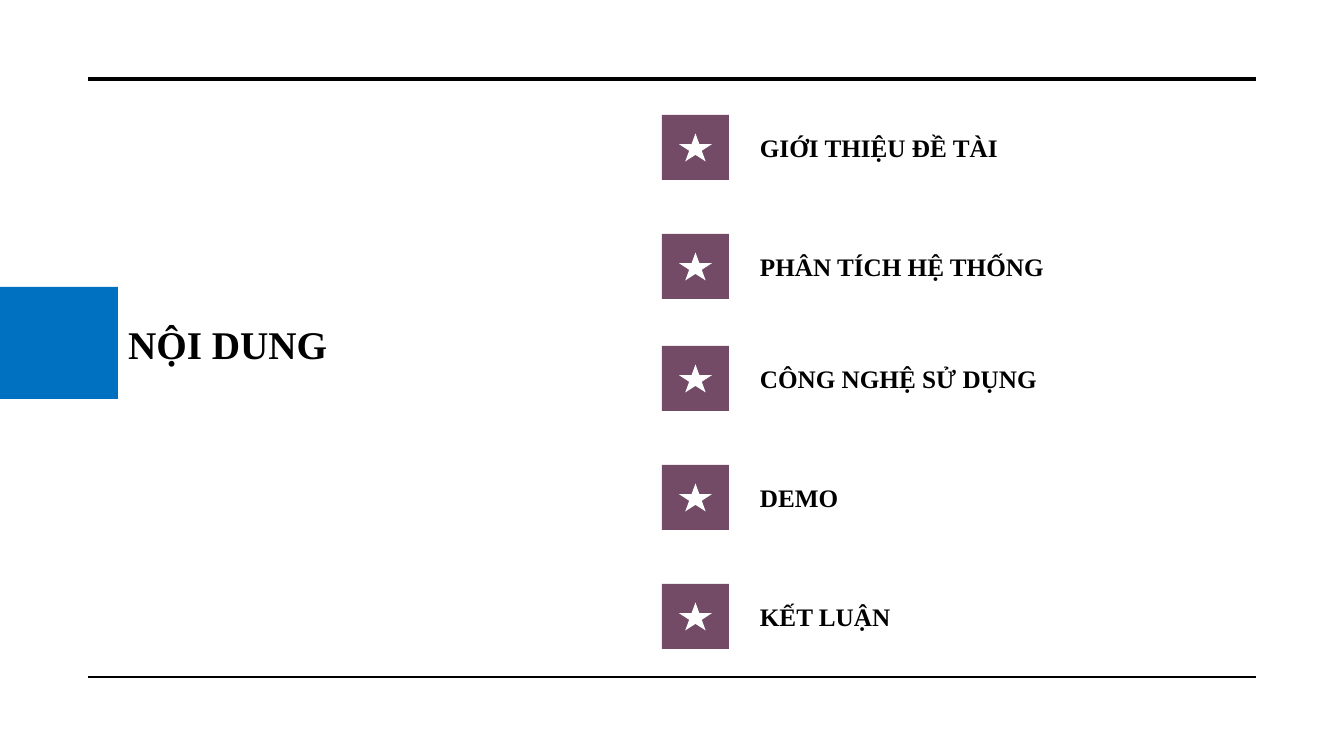
from lxml import etree
from pptx import Presentation
from pptx.dml.color import RGBColor
from pptx.enum import shapes, text
from pptx.oxml import ns
from pptx.util import Pt

TITLE = "NỘI DUNG"
TOPICS = [
    ("GIỚI THIỆU ĐỀ TÀI", 115),
    ("PHÂN TÍCH HỆ THỐNG", 234),
    ("CÔNG NGHỆ SỬ DỤNG", 346),
    ("DEMO", 465),
    ("KẾT LUẬN", 584),
]
RULES = [(79, 3.5), (677, 1)]
COLORS = {"ink": "000000", "accent": "0070C0", "tile": "734B67", "star": "FFFFFF"}
FONT = "Times New Roman"
EMU_PER_PX = 914400 / 100.8
RULE_LEFT, RULE_RIGHT = 88, 1256
TILE_LEFT, TILE_WIDTH, TILE_HEIGHT = 662, 67, 65
STAR_WIDTH, STAR_HEIGHT = 33, 28
LABEL_LEFT, LABEL_WIDTH, LABEL_HEIGHT = 750, 316, 40


def px(*lengths):
    return [round(length * EMU_PER_PX) for length in lengths]


def color(name):
    return RGBColor.from_string(COLORS[name])


def add_rule(page, y, weight):
    rule = page.shapes.add_connector(
        shapes.MSO_CONNECTOR.STRAIGHT, *px(RULE_LEFT, y, RULE_RIGHT, y))
    rule.line.color.rgb = color("ink")
    rule.line.width = Pt(weight)
    etree.SubElement(rule._element.spPr, ns.qn("a:effectLst"))


def add_block(page, kind, fill, *box):
    block = page.shapes.add_shape(kind, *px(*box))
    block.shadow.inherit = False
    block.fill.solid()
    block.fill.fore_color.rgb = color(fill)
    block.line.fill.background()


def write(box, words, size):
    frame = box.text_frame
    frame.text = words
    frame.word_wrap = True
    frame.auto_size = text.MSO_AUTO_SIZE.NONE
    frame.vertical_anchor = text.MSO_ANCHOR.MIDDLE
    para = frame.paragraphs[0]
    para.alignment = text.PP_ALIGN.LEFT
    para.font.name = FONT
    para.font.size = Pt(size)
    para.font.bold = True
    para.font.color.rgb = color("ink")


def add_topic(page, words, top):
    rectangle, star = shapes.MSO_SHAPE.RECTANGLE, shapes.MSO_SHAPE.STAR_5_POINT
    middle = top + TILE_HEIGHT / 2
    add_block(page, rectangle, "tile", TILE_LEFT, top, TILE_WIDTH, TILE_HEIGHT)
    add_block(page, star, "star", TILE_LEFT + (TILE_WIDTH - STAR_WIDTH) / 2,
              middle - STAR_HEIGHT / 2, STAR_WIDTH, STAR_HEIGHT)
    label = page.shapes.add_textbox(
        *px(LABEL_LEFT, middle - LABEL_HEIGHT / 2, LABEL_WIDTH, LABEL_HEIGHT))
    write(label, words, 18)


def main():
    deck = Presentation()
    deck.slide_width, deck.slide_height = px(1344, 756)
    page = deck.slides.add_slide(deck.slide_layouts[5])
    for y, weight in RULES:
        add_rule(page, y, weight)
    add_block(page, shapes.MSO_SHAPE.RECTANGLE, "accent", 0, 287, 118, 112)
    title = page.shapes.title
    title.left, title.top, title.width, title.height = px(118, 315, 226, 58)
    write(title, TITLE, 28)
    for words, top in TOPICS:
        add_topic(page, words, top)
    deck.save("out.pptx")


if __name__ == "__main__":
    main()
